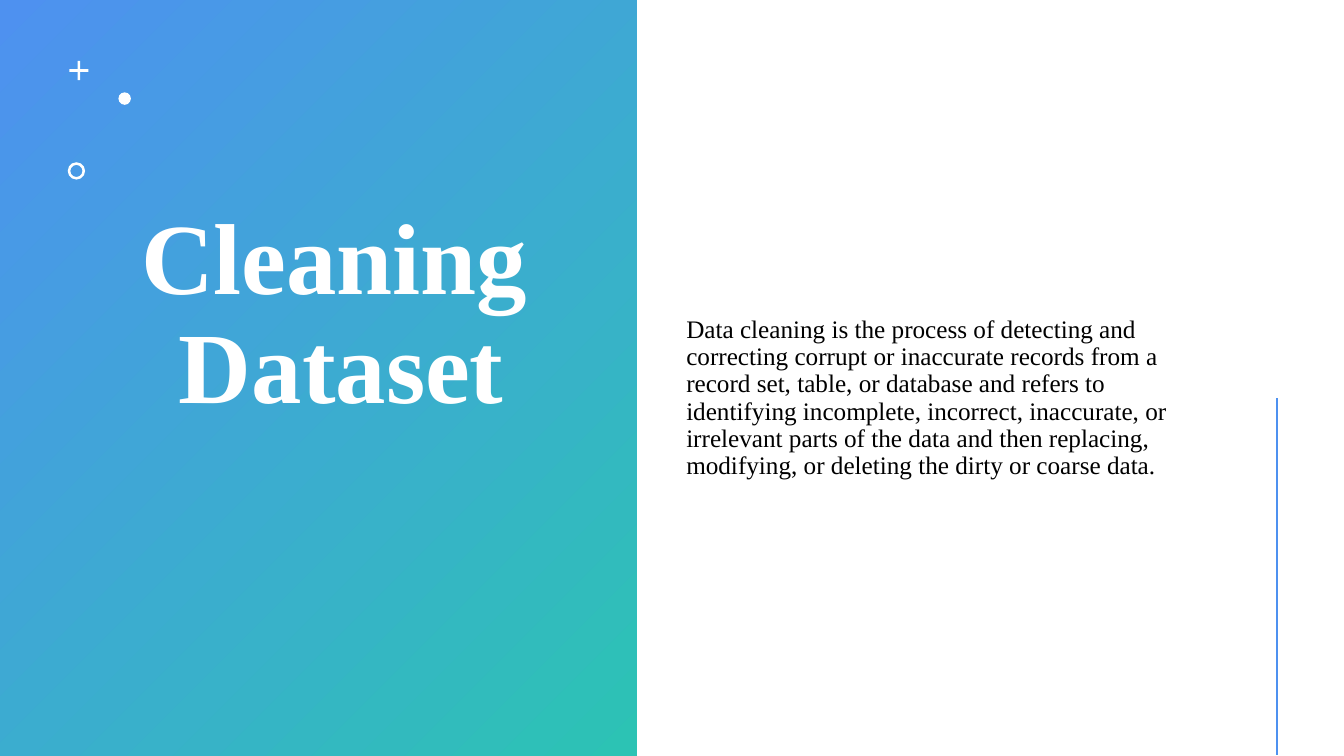
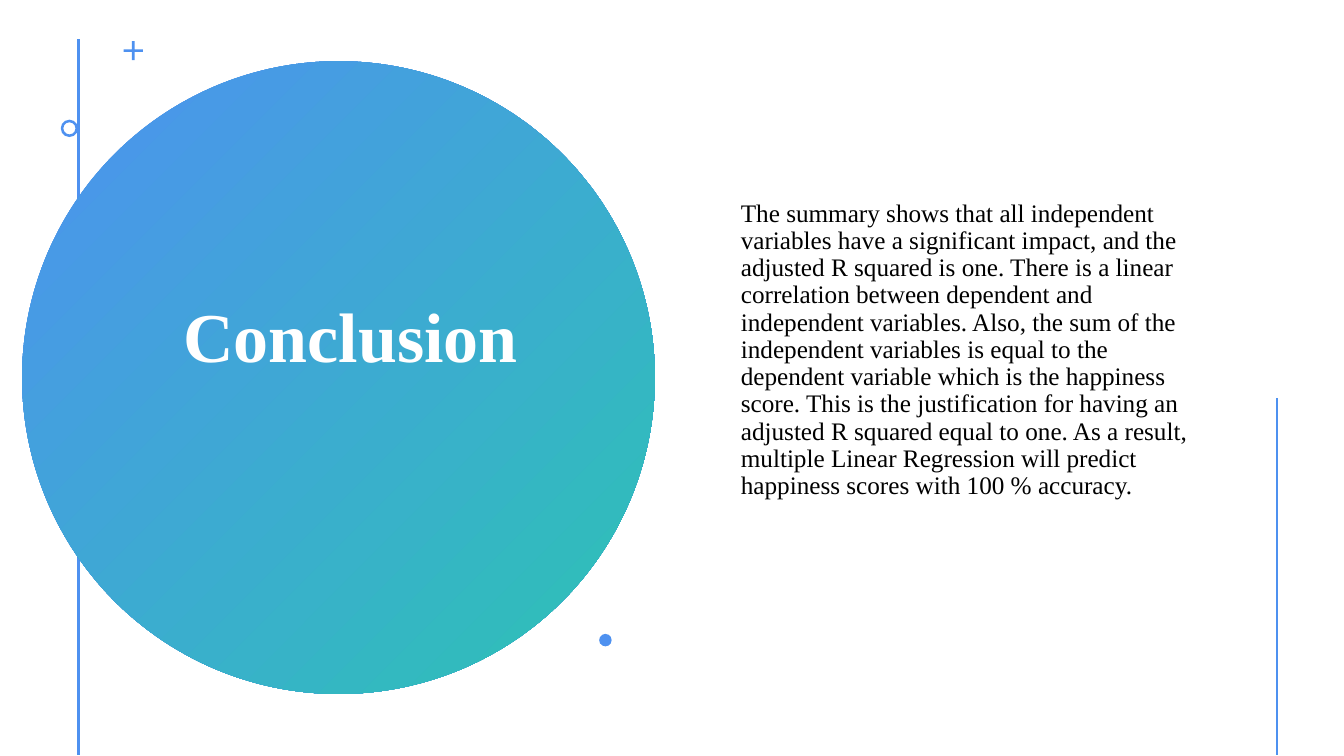
from dataclasses import dataclass

from pptx import Presentation
from pptx.dml.color import RGBColor
from pptx.enum.shapes import MSO_CONNECTOR, MSO_SHAPE
from pptx.enum.text import MSO_ANCHOR, MSO_AUTO_SIZE, PP_ALIGN
from pptx.oxml.xmlchemy import OxmlElement
from pptx.util import Pt


@dataclass(frozen=True)
class Theme:
    blue: RGBColor = RGBColor(0x4E, 0x91, 0xF0)
    teal: RGBColor = RGBColor(0x2C, 0xC3, 0xB4)
    white: RGBColor = RGBColor(0xFF, 0xFF, 0xFF)
    black: RGBColor = RGBColor(0x00, 0x00, 0x00)
    font: str = "Times New Roman"
    hero_size: int = 72
    title_size: int = 50
    body_size: int = 18
    line_spacing: float = 0.9
    rail_width: int = 2


class Deck:
    """Holds the presentation, its theme and the current slide."""

    def __init__(self, theme):
        self.theme = theme
        self.presentation = Presentation()
        self.presentation.slide_width = Pt(960)
        self.presentation.slide_height = Pt(540)
        self.slide = None

    def add_slide(self):
        layout = self.presentation.slide_layouts[1]
        self.slide = self.presentation.slides.add_slide(layout)
        self.rail(56.2, 28)
        self.rail(912.2, 284.4)

    def rail(self, x, top, bottom=539.3):
        rail = self.slide.shapes.add_connector(
            MSO_CONNECTOR.STRAIGHT, Pt(x), Pt(top), Pt(x), Pt(bottom))
        rail.line.color.rgb = self.theme.blue
        rail.line.width = Pt(self.theme.rail_width)
        rail.element.spPr.append(OxmlElement("a:effectLst"))

    def shape(self, kind, left, top, width, height):
        shape = self.slide.shapes.add_shape(
            kind, Pt(left), Pt(top), Pt(width), Pt(height))
        shape.shadow.inherit = False
        shape.line.fill.background()
        return shape

    def gradient_panel(self, kind, *box):
        fill = self.shape(kind, *box).fill
        fill.gradient()
        fill.gradient_angle = 315
        for stop, color in zip(fill.gradient_stops, (self.theme.blue, self.theme.teal)):
            stop.color.rgb = color

    def ornaments(self, color, plus, dot, ring):
        for kind, corner, size, thickness in (
                (MSO_SHAPE.CROSS, plus, 13.6, 0.43),
                (MSO_SHAPE.OVAL, dot, 8.9, None),
                (MSO_SHAPE.DONUT, ring, 12.4, 0.15)):
            ornament = self.shape(kind, *corner, size, size)
            ornament.fill.solid()
            ornament.fill.fore_color.rgb = color
            if thickness:
                ornament.adjustments[0] = thickness

    def fill_placeholder(self, placeholder, box, text, size, color, bold=False,
                         align=PP_ALIGN.LEFT, margin=0, indent=0):
        placeholder.left, placeholder.top, placeholder.width, placeholder.height = map(Pt, box)
        placeholder.element.getparent().append(placeholder.element)
        text_frame = placeholder.text_frame
        text_frame.text = text
        text_frame.word_wrap = True
        text_frame.auto_size = MSO_AUTO_SIZE.NONE
        text_frame.vertical_anchor = MSO_ANCHOR.MIDDLE
        paragraph = text_frame.paragraphs[0]
        paragraph.alignment = align
        paragraph.line_spacing = self.theme.line_spacing
        paragraph.space_before = Pt(0)
        properties = paragraph._p.get_or_add_pPr()
        properties.set("marL", str(Pt(margin)))
        properties.set("indent", str(Pt(indent)))
        properties.append(OxmlElement("a:buNone"))
        font = paragraph.runs[0].font
        font.name, font.size, font.bold = self.theme.font, Pt(size), bold
        font.color.rgb = color

    def title(self, box, text, size, **layout):
        self.fill_placeholder(self.slide.shapes.title, box, text, size,
                              self.theme.white, bold=True, **layout)

    def body(self, box, text):
        self.fill_placeholder(self.slide.placeholders[1], box, text,
                              self.theme.body_size, self.theme.black)


def cleaning_slide(deck):
    deck.add_slide()
    deck.gradient_panel(MSO_SHAPE.RECTANGLE, 0, 0, 455, 540)
    deck.title((93.6, 30.2, 315.4, 392), "Cleaning Dataset",
               deck.theme.hero_size, margin=27, indent=-27)
    deck.ornaments(deck.theme.white, plus=(49.6, 43.6), dot=(84.6, 66), ring=(48.4, 115.9))
    deck.body((483, 64, 383, 441),
              "Data cleaning is the process of detecting and correcting corrupt or "
              "inaccurate records from a record set, table, or database and refers to "
              "identifying incomplete, incorrect, inaccurate, or irrelevant parts of the "
              "data and then replacing, modifying, or deleting the dirty or coarse data.")


def conclusion_slide(deck):
    deck.add_slide()
    deck.gradient_panel(MSO_SHAPE.OVAL, 15.8, 43.7, 452, 452)
    deck.title((97.9, 101.5, 287.3, 282), "Conclusion", deck.theme.title_size,
               align=PP_ALIGN.CENTER, margin=36, indent=-18)
    deck.ornaments(deck.theme.blue, plus=(88.4, 29.4), dot=(428, 452.8), ring=(43.4, 85.5))
    deck.body((522, 30.2, 351, 440),
              "The summary shows that all independent variables have a significant impact, "
              "and the adjusted R squared is one. There is a linear correlation between "
              "dependent and independent variables. Also, the sum of the independent "
              "variables is equal to the dependent variable which is the happiness score. "
              "This is the justification for having an adjusted R squared equal to one. "
              "As a result, multiple Linear Regression will predict happiness scores with "
              "100 % accuracy.")


def main():
    deck = Deck(Theme())
    cleaning_slide(deck)
    conclusion_slide(deck)
    deck.presentation.save("out.pptx")


if __name__ == "__main__":
    main()
